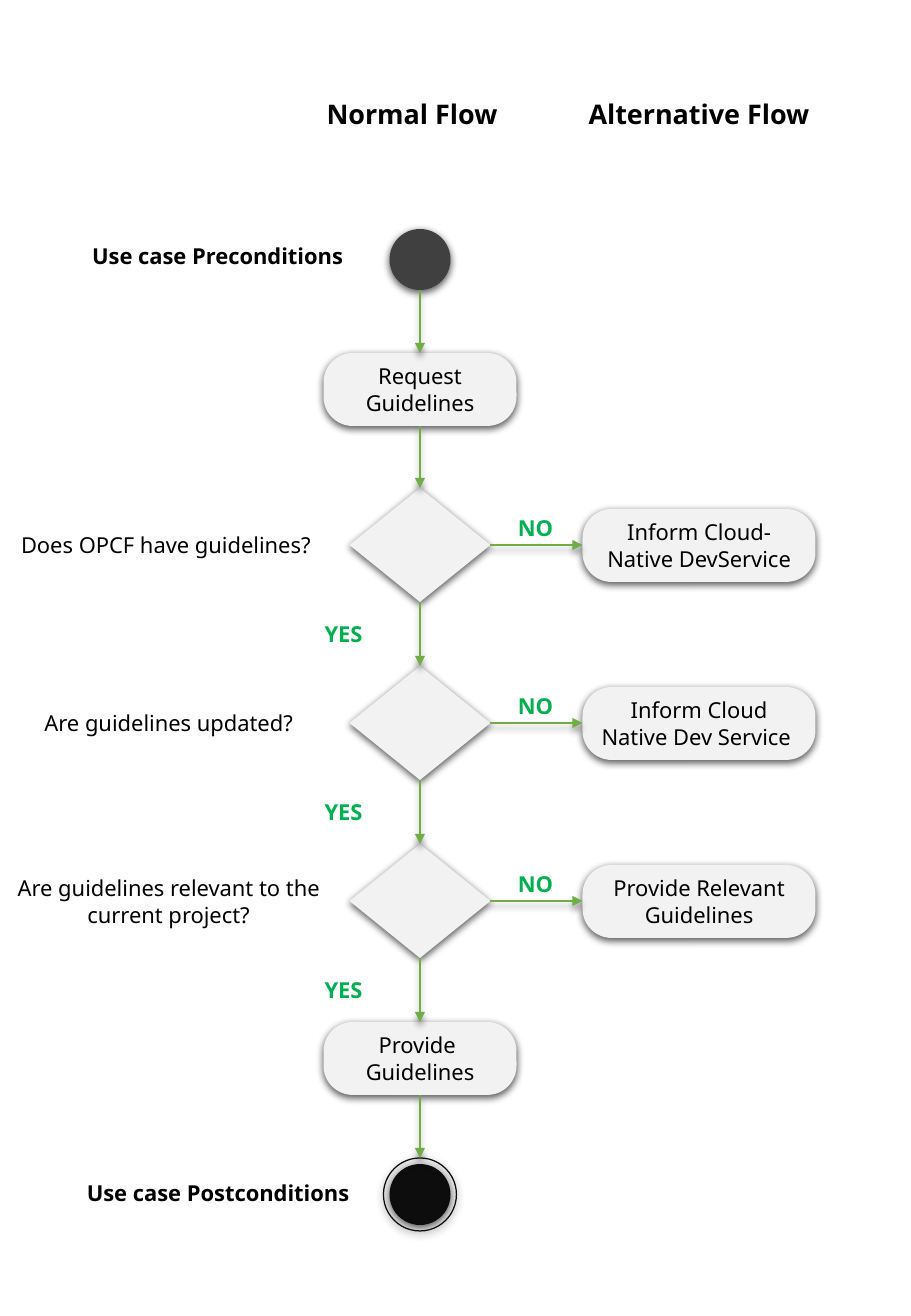
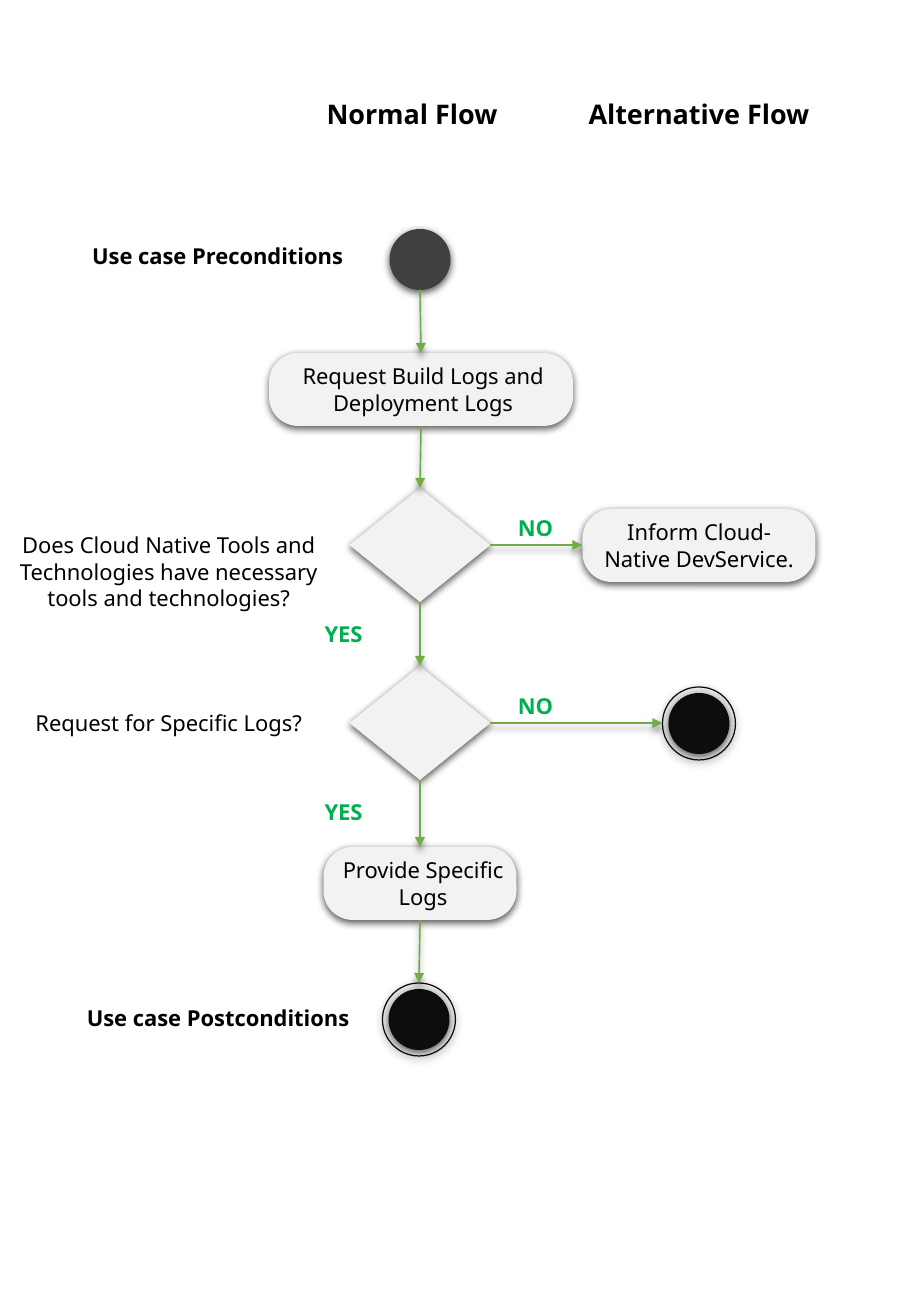
from dataclasses import dataclass
from typing import Optional

from lxml import etree
from pptx import Presentation
from pptx.dml.color import RGBColor
from pptx.enum.shapes import MSO_CONNECTOR, MSO_SHAPE
from pptx.enum.text import MSO_AUTO_SIZE, PP_ALIGN
from pptx.oxml.ns import qn
from pptx.util import Emu, Pt

OVAL = MSO_SHAPE.OVAL
ROUNDED = MSO_SHAPE.ROUNDED_RECTANGLE
DIAMOND = MSO_SHAPE.FLOWCHART_DECISION
STRAIGHT = MSO_CONNECTOR.STRAIGHT
CENTER = PP_ALIGN.CENTER
GROW = MSO_AUTO_SIZE.SHAPE_TO_FIT_TEXT

# Shared style
BLACK = RGBColor(0x00, 0x00, 0x00)
NODE_GREY = RGBColor(0xF2, 0xF2, 0xF2)
START_GREY = RGBColor(0x40, 0x40, 0x40)
END_BLACK = RGBColor(0x0D, 0x0D, 0x0D)
ARROW_GREEN = RGBColor(0x70, 0xAD, 0x47)
ANSWER_GREEN = RGBColor(0x00, 0xB0, 0x50)
FONT = "Noto Sans"
BODY_PT, HEADING_PT = 13, 16

# Shared layout, in pixels
EMU_PER_PX = 914400 / 121.5
PAGE_W, PAGE_H = 911, 1316
MAIN_X, ALT_X = 420, 699
START_Y, REQUEST_Y = 259, 389
DECISION_Y, DECISION_PITCH = 545, 178
DOT, RING = 61, 73
ACTION_W, ACTION_H = 193, 73
ALT_W, ALT_TEXT_W = 233, 220
DECISION_W, DECISION_H = 141, 114
LINE_H, TEXT_PAD = 26, 13


@dataclass(frozen=True)
class Action:
    text: str
    cy: int
    cx: int = MAIN_X
    width: int = ACTION_W
    text_cx: int = MAIN_X
    text_width: int = 145


@dataclass(frozen=True)
class Decision:
    question: str
    lines: int = 1
    rise: int = 19
    alternative: Optional[str] = None  # without one, the branch ends the flow


@dataclass(frozen=True)
class Flow:
    request: Action
    decisions: tuple[Decision, ...]
    result: Action
    end_x: int
    end_y: int


@dataclass(frozen=True)
class Port:
    """Where arrows enter and leave a step of the main column."""
    cx: int
    top: int
    bottom: int


def px(length: float) -> Emu:
    return Emu(round(length * EMU_PER_PX))


def add_shadow(shape, blur: float, distance: float, alpha: int) -> None:
    properties = shape._element.spPr
    effects = properties.find(qn("a:effectLst"))
    if effects is None:
        effects = etree.SubElement(properties, qn("a:effectLst"))
    outer = etree.SubElement(effects, qn("a:outerShdw"), blurRad=str(Pt(blur)),
                             dist=str(Pt(distance)), dir="5400000", rotWithShape="0")
    color = etree.SubElement(outer, qn("a:srgbClr"), val=str(BLACK))
    etree.SubElement(color, qn("a:alpha"), val=str(alpha * 1000))


def add_node(slide, kind, cx: int, cy: int, width: int, height: int,
             fill: Optional[RGBColor] = NODE_GREY) -> Port:
    """Draw a node; with no fill it is an outline."""
    top = cy - height // 2
    node = slide.shapes.add_shape(kind, px(cx - width / 2), px(top), px(width), px(height))
    if kind == ROUNDED:
        node.adjustments[0] = 0.4
    if fill is None:
        node.fill.background()
        node.line.color.rgb = END_BLACK
        node.line.width = Pt(0.75)
    else:
        node.fill.solid()
        node.fill.fore_color.rgb = fill
        node.line.fill.background()
    node.shadow.inherit = False
    add_shadow(node, 4.5, 1.5, 63)
    return Port(cx, top, top + height)


def add_label(slide, text: str, left: float, top: int, width: int, lines: int = 1,
              size: int = BODY_PT, color: RGBColor = BLACK, bold: bool = False) -> None:
    box = slide.shapes.add_textbox(px(left), px(top), px(width), px(TEXT_PAD + LINE_H * lines))
    frame = box.text_frame
    frame.word_wrap = True
    frame.auto_size = GROW
    frame.text = text
    for paragraph in frame.paragraphs:
        paragraph.alignment = CENTER
        for run in paragraph.runs:
            run.font.name = FONT
            run.font.size = Pt(size)
            run.font.bold = bold
            run.font.color.rgb = color


def add_arrow(slide, x1: float, y1: int, x2: float, y2: int) -> None:
    arrow = slide.shapes.add_connector(STRAIGHT, px(x1), px(y1), px(x2), px(y2))
    arrow.line.color.rgb = ARROW_GREEN
    arrow.line.width = Pt(1)
    etree.SubElement(arrow.line._get_or_add_ln(), qn("a:tailEnd"), type="triangle")
    add_shadow(arrow, 4, 3, 40)


def add_action(slide, action: Action) -> Port:
    port = add_node(slide, ROUNDED, action.cx, action.cy, action.width, ACTION_H)
    add_label(slide, action.text, action.text_cx - action.text_width / 2,
              action.cy - 32, action.text_width, lines=2)
    return port


def add_end(slide, cx: int, cy: int) -> Port:
    add_node(slide, OVAL, cx, cy, DOT, DOT, END_BLACK)
    return add_node(slide, OVAL, cx, cy, RING, RING, None)


def add_decision(slide, decision: Decision, cy: int) -> Port:
    port = add_node(slide, DIAMOND, MAIN_X, cy, DECISION_W, DECISION_H)
    add_label(slide, decision.question, 0, cy - decision.rise, 337, decision.lines)
    add_label(slide, "YES", 271, cy + 70, 145, color=ANSWER_GREEN, bold=True)
    add_label(slide, "NO", 463, cy - 36, 145, color=ANSWER_GREEN, bold=True)
    if decision.alternative is None:
        add_end(slide, ALT_X, cy)
        target_w = RING
    else:
        add_action(slide, Action(decision.alternative, cy, ALT_X, ALT_W, ALT_X, ALT_TEXT_W))
        target_w = ALT_W
    add_arrow(slide, MAIN_X + DECISION_W / 2, cy, ALT_X - target_w / 2, cy)
    return port


def add_flow(slide, flow: Flow) -> None:
    # Column headings and conditions
    add_label(slide, "Normal Flow", 302, 92, 220, size=HEADING_PT, bold=True)
    add_label(slide, "Alternative Flow", 570, 92, 258, size=HEADING_PT, bold=True)
    add_label(slide, "Use case Preconditions", 49, 237, 337, bold=True)
    add_label(slide, "Use case Postconditions", 27, flow.end_y - 20, 382, bold=True)

    # Main column, from start to end
    steps = [add_node(slide, OVAL, MAIN_X, START_Y, DOT, DOT, START_GREY),
             add_action(slide, flow.request)]
    for row, decision in enumerate(flow.decisions):
        steps.append(add_decision(slide, decision, DECISION_Y + row * DECISION_PITCH))
    steps.append(add_action(slide, flow.result))
    steps.append(add_end(slide, flow.end_x, flow.end_y))

    # Arrows between neighbouring steps
    for upper, lower in zip(steps, steps[1:]):
        add_arrow(slide, upper.cx, upper.bottom, lower.cx, lower.top)


GUIDELINES = Flow(
    request=Action("Request Guidelines", REQUEST_Y),
    decisions=(
        Decision("Does OPCF have guidelines? ",
                 alternative="Inform Cloud-Native DevService"),
        Decision("Are guidelines updated?",
                 alternative="Inform Cloud Native Dev Service "),
        Decision("Are guidelines relevant to the current project?", lines=2, rise=32,
                 alternative="Provide Relevant Guidelines"),
    ),
    result=Action("Provide \nGuidelines", 1058),
    end_x=MAIN_X, end_y=1194,
)

LOGS = Flow(
    request=Action("Request Build Logs and Deployment Logs", REQUEST_Y,
                   cx=421, width=304, text_cx=423, text_width=329),
    decisions=(
        Decision("Does Cloud Native Tools and Technologies have necessary "
                 "tools and technologies?", lines=3,
                 alternative="Inform Cloud-Native DevService."),
        Decision("Request for Specific Logs?"),
    ),
    result=Action("Provide Specific Logs", 883, text_cx=423, text_width=190),
    end_x=419, end_y=1019,
)

presentation = Presentation()
presentation.slide_width = px(PAGE_W)
presentation.slide_height = px(PAGE_H)
blank_layout = presentation.slide_layouts[6]
for use_case in (GUIDELINES, LOGS):
    add_flow(presentation.slides.add_slide(blank_layout), use_case)
presentation.save("out.pptx")
